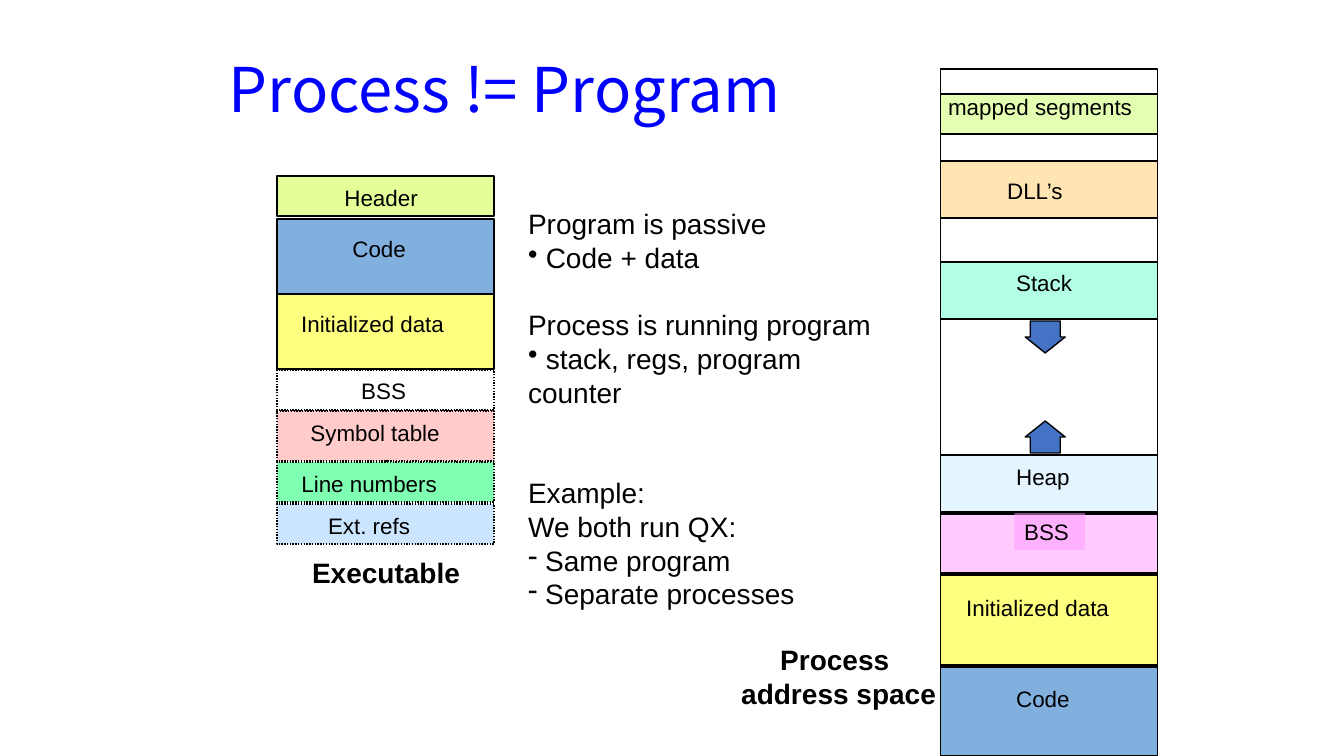
from lxml import etree
from pptx import Presentation
from pptx.dml.color import RGBColor
from pptx.enum.dml import MSO_LINE
from pptx.enum.shapes import MSO_SHAPE
from pptx.enum.text import MSO_ANCHOR, MSO_AUTO_SIZE, PP_ALIGN
from pptx.oxml.ns import qn
from pptx.util import Emu, Inches, Pt

RECT, UP, DOWN = MSO_SHAPE.RECTANGLE, MSO_SHAPE.UP_ARROW, MSO_SHAPE.DOWN_ARROW
DOTTED = MSO_LINE.ROUND_DOT
LEFT, CENTER = PP_ALIGN.LEFT, PP_ALIGN.CENTER
TOP, MIDDLE = MSO_ANCHOR.TOP, MSO_ANCHOR.MIDDLE
FIT, FIXED = MSO_AUTO_SIZE.SHAPE_TO_FIT_TEXT, MSO_AUTO_SIZE.NONE
PX = 914400 / 100.8

prs = Presentation()
prs.slide_width, prs.slide_height = Inches(13.33), Inches(7.5)
slide = prs.slides.add_slide(prs.slide_layouts[6])


def paint(shape, color, opacity=100):
    """Fill a shape, or leave it clear when there is no colour."""
    if color is None:
        shape.fill.background()
        return
    shape.fill.solid()
    shape.fill.fore_color.rgb = RGBColor.from_string(color)
    if opacity < 100:
        tint = shape.fill._xPr.find(qn("a:solidFill"))[0]
        etree.SubElement(tint, qn("a:alpha"), val=str(opacity * 1000))


def write(box, lines, size=16, bold=False, align=LEFT, wrap=False,
          font="Arial", color="000000", anchor=TOP, fit=FIT):
    """Add a text box; each line is (text, bullet, space before in points)."""
    textbox = slide.shapes.add_textbox(*[Emu(round(v * PX)) for v in box])
    frame = textbox.text_frame
    for name, value in {"word_wrap": wrap, "auto_size": fit,
                        "vertical_anchor": anchor}.items():
        setattr(frame, name, value)
    for i, (text, bullet, gap) in enumerate(lines):
        para = frame.add_paragraph() if i else frame.paragraphs[0]
        para.alignment = align
        if gap:
            para.space_before = Pt(gap)
        if bullet:
            props = para._p.get_or_add_pPr()
            props.set("marL", "0")
            props.set("indent", "0")
            etree.SubElement(props, qn("a:buChar"), char=bullet)
        run = para.add_run()
        run.text = text
        for name, value in {"name": font, "size": Pt(size), "bold": bold}.items():
            setattr(run.font, name, value)
        run.font.color.rgb = RGBColor.from_string(color)
    return textbox


# Title
title = write((219, 30, 789, 126), [("Process != Program", None, 0)], size=44,
              font="Noto Sans CJK SC", color="0000FF", wrap=True,
              anchor=MIDDLE, fit=FIXED)
title.text_frame.paragraphs[0].line_spacing = 0.9

# Memory blocks: top, height, fill, label, label left, label width, label drop
executable = [
    (176, 40, "CCFF33", "Header", 334, 94, 3),
    (219, 75, "0563C1", "Code", 342, 74, 11),
    (294, 75, "FFFF00", "Initialized data", 291, 163, 11),
    (370, 40, None, "BSS", 351, 65, 2),
    (411, 50, "FF9999", "Symbol table", 300, 150, 3),
    (462, 40, "00FF66", "Line numbers", 291, 156, 3),
    (504, 40, "99CCFF", "Ext. refs", 317, 104, 3),
]
address_space = [
    (69, 687, None, "", 0, 0, 0),
    (667, 89, "0563C1", "Code", 1006, 74, 13),
    (575, 90, "FFFF00", "Initialized data", 956, 163, 14),
    (514, 59, "FF99FF", "BSS", 1014, 71, -1),
    (455, 57, "CCECFF", "Heap", 1006, 74, 3),
    (262, 57, "66FFCC", "Stack", 1006, 77, 2),
    (161, 57, "FFCC66", "DLL’s", 997, 78, 11),
    (94, 40, "CCFF66", "mapped segments", 938, 205, -6),
]
NOT_LOADED_TOP = 370
for column_left, blocks, align in ((277, executable, CENTER),
                                   (940, address_space, LEFT)):
    for top, height, color, label, label_left, label_width, drop in blocks:
        block = slide.shapes.add_shape(
            RECT, *[Emu(round(v * PX)) for v in (column_left, top, 217, height)])
        block.shadow.inherit = False
        paint(block, color, 50)
        block.line.color.rgb = RGBColor.from_string("000000")
        block.line.width = Pt(1)
        if blocks is executable and top >= NOT_LOADED_TOP:
            block.line.dash_style = DOTTED
        if label:
            name = write((label_left, top + drop, label_width, 37),
                         [(label, None, 0)], align=align)
            if label == "BSS" and color:
                paint(name, color, 50)

# Growth arrows of the stack and the heap
for kind, top in ((DOWN, 321), (UP, 421)):
    arrow = slide.shapes.add_shape(
        kind, *[Emu(round(v * PX)) for v in (1025, top, 40, 32)])
    arrow.shadow.inherit = False
    arrow.adjustments[0], arrow.adjustments[1] = 0.75, 0.5
    paint(arrow, "4472C4")
    arrow.line.color.rgb = RGBColor.from_string("000000")
    arrow.line.width = Pt(1)

# Column captions
write((302, 551, 168, 43), [("Executable", None, 0)], size=20, bold=True)
write((731, 638, 215, 78), [("Process ", None, 0), ("address space", None, 0)],
      size=20, bold=True, align=CENTER)

# Explanation
notes = write((518, 202, 394, 380), [
    ("Program is passive", None, 0),
    (" Code + data", "•", 0),
    ("Process is running program", None, 24),
    (" stack, regs, program counter", "•", 0),
    ("Example:", None, 48),
    ("We both run QX:", None, 0),
    (" Same program ", "-", 0),
    (" Separate processes", "-", 0),
], size=20, wrap=True)
notes.text_frame.margin_right = Emu(round(37 * PX))

prs.save("out.pptx")
